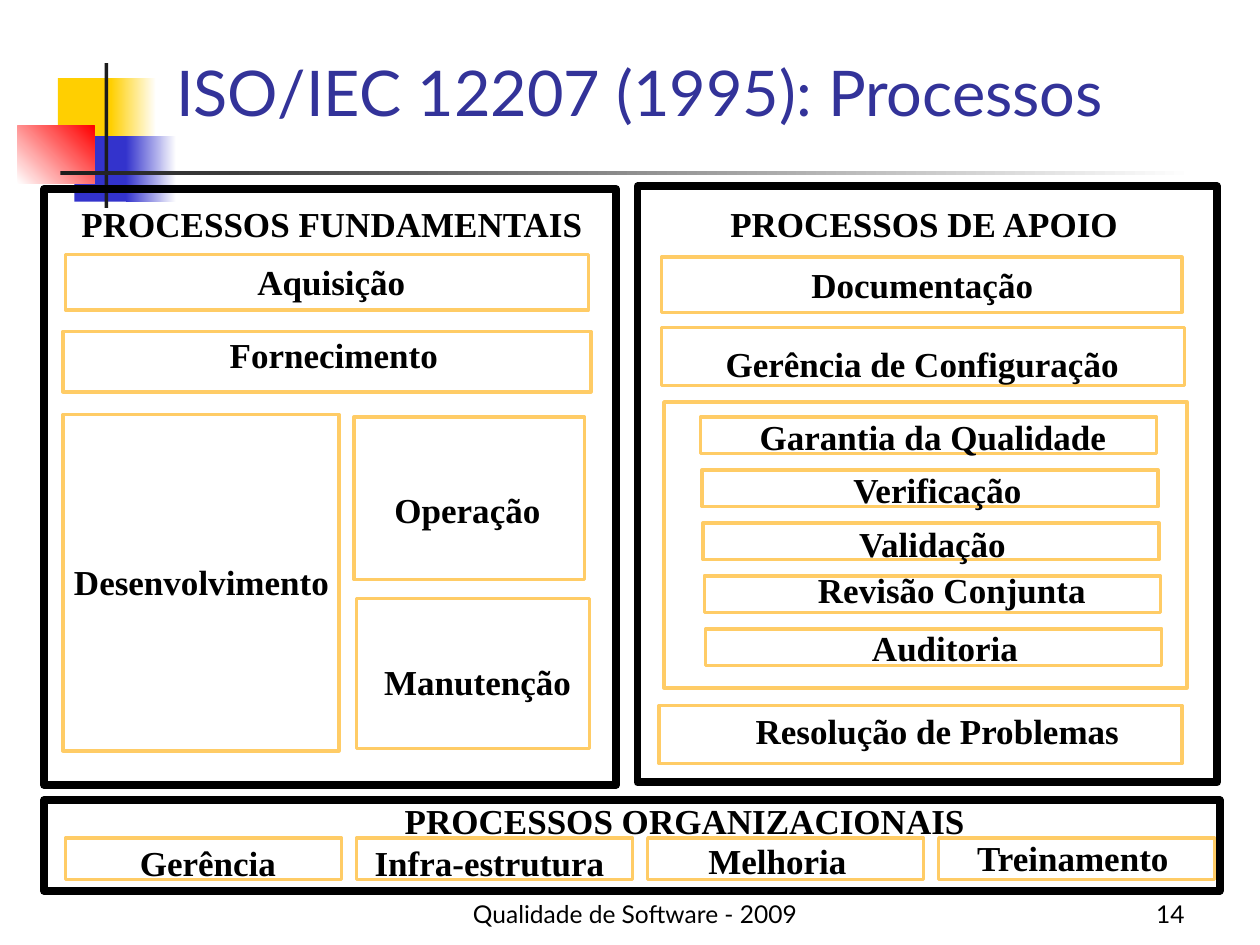
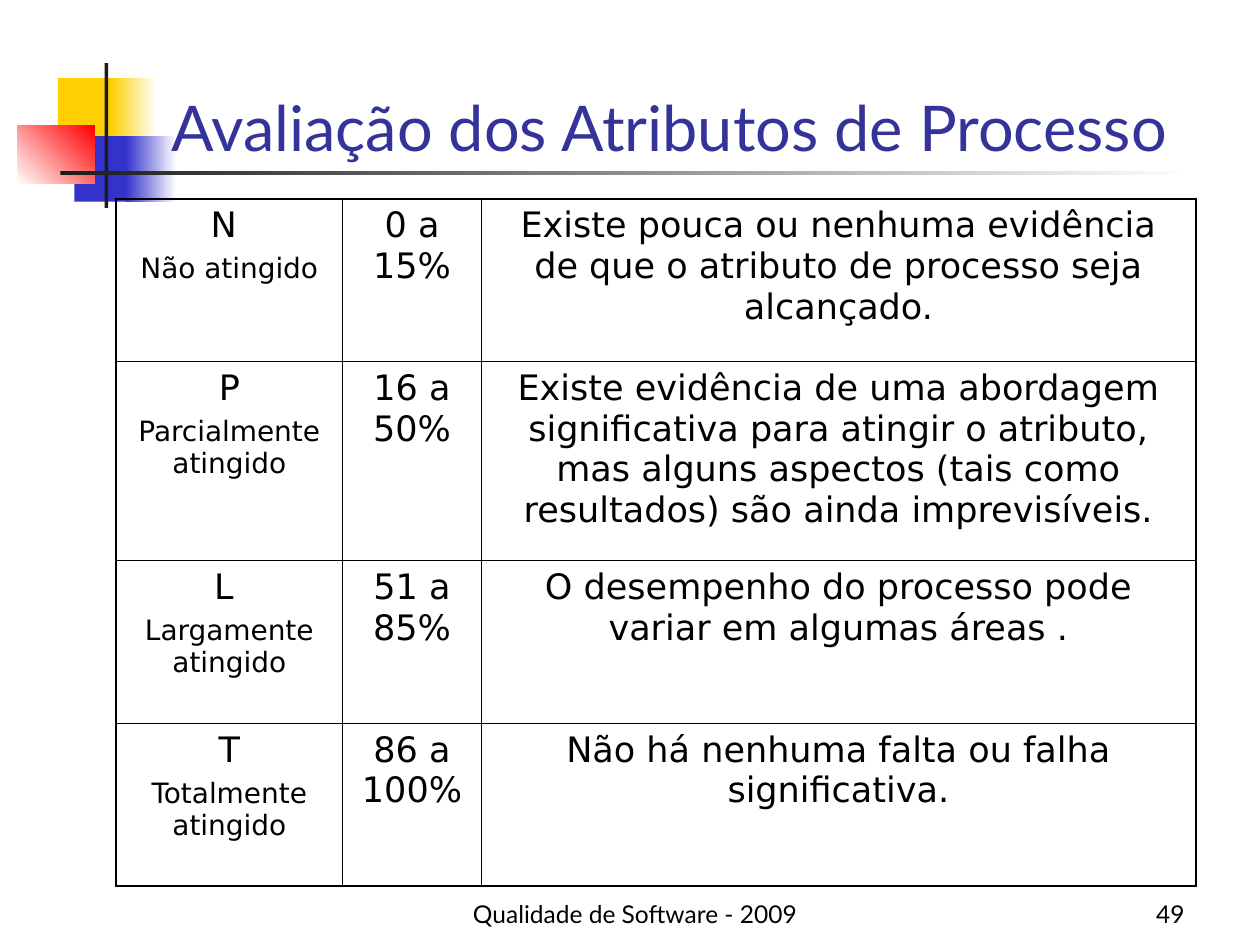
from pptx import Presentation, util as u
from pptx.dml.color import RGBColor
from pptx.enum import shapes, text
from pptx.oxml import parse_xml
from pptx.oxml.ns import nsdecls

BLACK = RGBColor(0, 0, 0)
WHITE = RGBColor(255, 255, 255)
INK = RGBColor(0x1C, 0x1C, 0x1C)
YELLOW = RGBColor(0xFF, 0xCF, 0x01)
BLUE = RGBColor(0x33, 0x33, 0xCC)
RED = RGBColor(255, 0, 0)
TITLE = RGBColor(0x33, 0x33, 0x99)
AMBER = RGBColor(0xFF, 0xCC, 0x66)
SANS, SERIF, TABLE_FONT = "Lato", "Times New Roman", "DejaVu Sans"
LEFT, CENTER, RIGHT = text.PP_ALIGN.LEFT, text.PP_ALIGN.CENTER, text.PP_ALIGN.RIGHT
TOP, MIDDLE, BOTTOM = text.MSO_ANCHOR.TOP, text.MSO_ANCHOR.MIDDLE, text.MSO_ANCHOR.BOTTOM

FOOTER = "Qualidade de Software - 2009"
ORNAMENTS = [
    ((0.46, 0.62, 0.48, 0.52), [YELLOW], 0),
    ((0.88, 0.62, 0.36, 0.52), [YELLOW, WHITE], 0),
    ((0.59, 1.08, 0.46, 0.52), [BLUE], 0),
    ((1, 1.08, 0.4, 0.52), [BLUE, WHITE], 0),
    ((0.14, 1, 0.61, 0.46), [WHITE, RED], 45),
    ((0.83, 0.5, 0.03, 1.15), [INK], 0),
    ((0.48, 1.36, 9, 0.03), [INK, WHITE], 0),
]

PANELS = [
    ("PROCESSOS FUNDAMENTAIS", (0.35, 1.5, 4.54, 4.73), (0.52, 1.56, 4.23)),
    ("PROCESSOS DE APOIO", (5.06, 1.48, 4.6, 4.73), (5.67, 1.56, 3.33)),
    ("PROCESSOS ORGANIZACIONAIS", (0.35, 6.35, 9.33, 0.72), (2.77, 6.3, 5.33)),
]
PROCESSES = [
    ("Aquisição", (0.52, 2.02, 4.15, 0.44), (1.67, 2.02, 1.92)),
    ("Fornecimento", (0.5, 2.63, 4.19, 0.48), (1.69, 2.6, 1.92)),
    ("Desenvolvimento", (0.5, 3.29, 2.19, 2.67), (0.35, 4.4, 2.5)),
    ("Operação", (2.81, 3.31, 1.83, 1.29), (2.75, 3.83, 1.92)),
    ("Manutenção", (2.83, 4.75, 1.85, 1.19), (2.83, 5.19, 1.92)),
    ("Documentação", (5.25, 2.04, 4.13, 0.44), (6.04, 2.04, 2.56)),
    ("Gerência de Configuração", (5.25, 2.6, 4.15, 0.46), (5.58, 2.67, 3.48)),
    ("Resolução de Problemas", (5.23, 5.6, 4.15, 0.46), (5.67, 5.58, 3.54)),
]
QUALITY_GROUP = (5.27, 3.19, 4.15, 2.27)
QUALITY = [
    ("Garantia da Qualidade", (5.77, 3.25, 3.27)),
    ("Verificação", (6.48, 3.67, 1.92)),
    ("Validação", (6.44, 4.1, 1.92)),
    ("Revisão Conjunta", (6.17, 4.46, 2.77)),
    ("Auditoria", (6.54, 4.92, 1.92)),
]
ORGANIZATIONAL = [
    ("Gerência", (0.69, 6.63, 1.92)),
    ("Infra-estrutura", (2.73, 6.63, 2.31)),
    ("Melhoria", (5.21, 6.61, 1.92)),
    ("Treinamento", (7.58, 6.59, 1.87)),
]

COLS = [1.8, 1.1, 5.67]
ROWS = [1.29, 1.58, 1.29, 1.29]
RATINGS = [
    ("N \nNão atingido", "0 a 15%",
     "Existe pouca ou nenhuma evidência de que o atributo de processo seja alcançado."),
    ("P\nParcialmente atingido", "16 a 50%",
     "Existe evidência de uma abordagem significativa para atingir o atributo, "
     "mas alguns aspectos (tais como resultados) são ainda imprevisíveis."),
    ("L \nLargamente atingido", "51 a 85%",
     "O desempenho do processo pode variar em algumas áreas ."),
    ("T\nTotalmente atingido", "86 a 100%",
     "Não há nenhuma falta ou falha significativa."),
]


def inches(box):
    return [u.Inches(v) for v in box]


def style(p, size, font, color, align, bold=False):
    p.alignment = align
    for r in p.runs:
        r.font.size = u.Pt(size)
        r.font.name = font
        r.font.bold = bold
        r.font.color.rgb = color


def add_text(s, words, box, size, font, color=BLACK, align=CENTER, anchor=TOP, bold=False):
    tf = s.shapes.add_textbox(*inches(box)).text_frame
    tf.word_wrap = True
    tf.vertical_anchor = anchor
    tf.text = words
    style(tf.paragraphs[0], size, font, color, align, bold)


def add_rect(s, box):
    sp = s.shapes.add_shape(shapes.MSO_SHAPE.RECTANGLE, *inches(box))
    sp.shadow.inherit = False
    return sp


def add_ornament(s, box, colors, angle):
    sp = add_rect(s, box)
    sp.line.fill.background()
    if len(colors) == 1:
        sp.fill.solid()
        sp.fill.fore_color.rgb = colors[0]
        return
    sp.fill.gradient()
    sp.fill.gradient_angle = angle
    for stop, color in zip(sp.fill.gradient_stops, colors):
        stop.color.rgb = color


def add_outline(s, box, color, width):
    sp = add_rect(s, box)
    sp.fill.background()
    sp.line.color.rgb = color
    sp.line.width = u.Pt(width)


def add_label(s, words, place):
    add_text(s, words, (*place, 0.44), 20, SERIF, bold=True)


def add_slide(prs, title, title_box, anchor, number):
    s = prs.slides.add_slide(prs.slide_layouts[6])
    for ornament in ORNAMENTS:
        add_ornament(s, *ornament)
    add_text(s, FOOTER, (1.85, 6.92, 6.38, 0.5), 14, SANS, anchor=BOTTOM)
    add_text(s, str(number), (8.47, 6.92, 1.03, 0.5), 14, SANS, align=RIGHT, anchor=BOTTOM)
    add_text(s, title, title_box, 36, SANS, TITLE, LEFT, anchor)
    return s


def processes_slide(prs):
    s = add_slide(prs, "ISO/IEC 12207 (1995): Processos", (1.3, 0.33, 7.88, 0.79), MIDDLE, 14)
    quality = [(name, (5.56 + 0.01 * i, 3.31 + 0.42 * i, 3.62, 0.29), place)
               for i, (name, place) in enumerate(QUALITY)]
    organizational = [(name, (0.52 + 2.31 * i, 6.65, 2.19, 0.33), place)
                      for i, (name, place) in enumerate(ORGANIZATIONAL)]
    for name, box, place in PANELS:
        add_outline(s, box, BLACK, 4.5)
        add_label(s, name, place)
    add_outline(s, QUALITY_GROUP, AMBER, 2)
    for name, box, place in PROCESSES + quality + organizational:
        add_outline(s, box, AMBER, 2)
        add_label(s, name, place)


def set_border(cell, side, width):
    cell._tc.get_or_add_tcPr().append(parse_xml(
        f'<a:ln{side} {nsdecls("a")} w="{u.Pt(width)}"><a:solidFill>'
        f'<a:srgbClr val="{BLACK}"/></a:solidFill></a:ln{side}>'))


def ratings_slide(prs):
    s = add_slide(prs, "Avaliação dos Atributos de Processo", (1.26, 0.21, 8.52, 1.14), BOTTOM, 49)
    box = (0.92, 1.58, sum(COLS), sum(ROWS))
    table = s.shapes.add_table(len(ROWS), len(COLS), *inches(box)).table
    table.first_row = table.horz_banding = False
    for col, width in zip(table.columns, COLS):
        col.width = u.Inches(width)
    for row, height in zip(table.rows, ROWS):
        row.height = u.Inches(height)
    for i, rating in enumerate(RATINGS):
        for j, words in enumerate(rating):
            cell = table.cell(i, j)
            cell.text = words
            for k, p in enumerate(cell.text_frame.paragraphs):
                style(p, 16 if k else 20, TABLE_FONT, BLACK, CENTER)
                if k:
                    p.space_before = u.Pt(4)
            outer = {"L": j == 0, "R": j == len(COLS) - 1, "T": i == 0, "B": i == len(ROWS) - 1}
            for side, on_edge in outer.items():
                set_border(cell, side, 1.08 if on_edge else 0.45)
            cell.fill.background()


def main():
    prs = Presentation()
    prs.slide_width, prs.slide_height = u.Inches(10), u.Inches(7.5)
    processes_slide(prs)
    ratings_slide(prs)
    prs.save("out.pptx")


if __name__ == "__main__":
    main()
